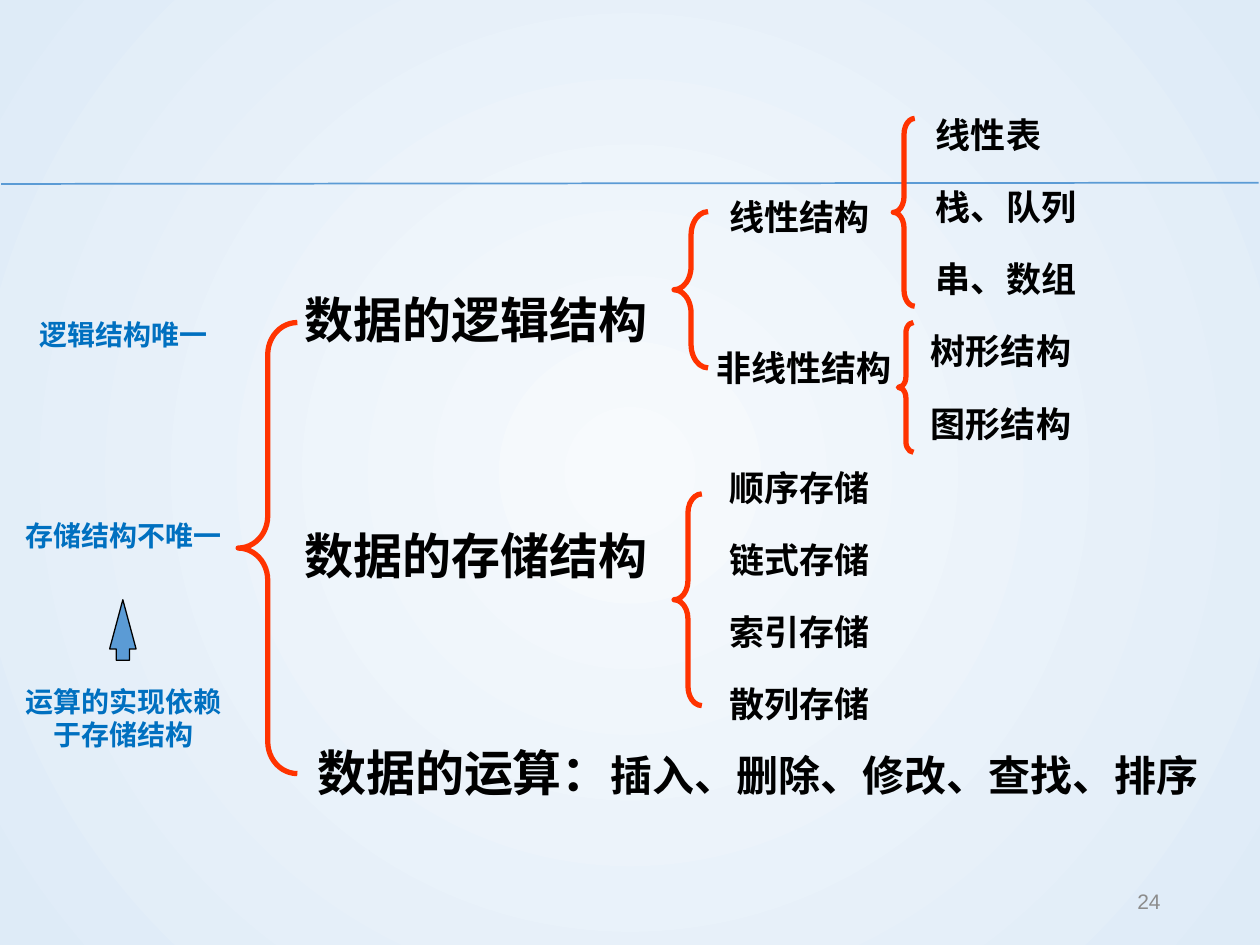
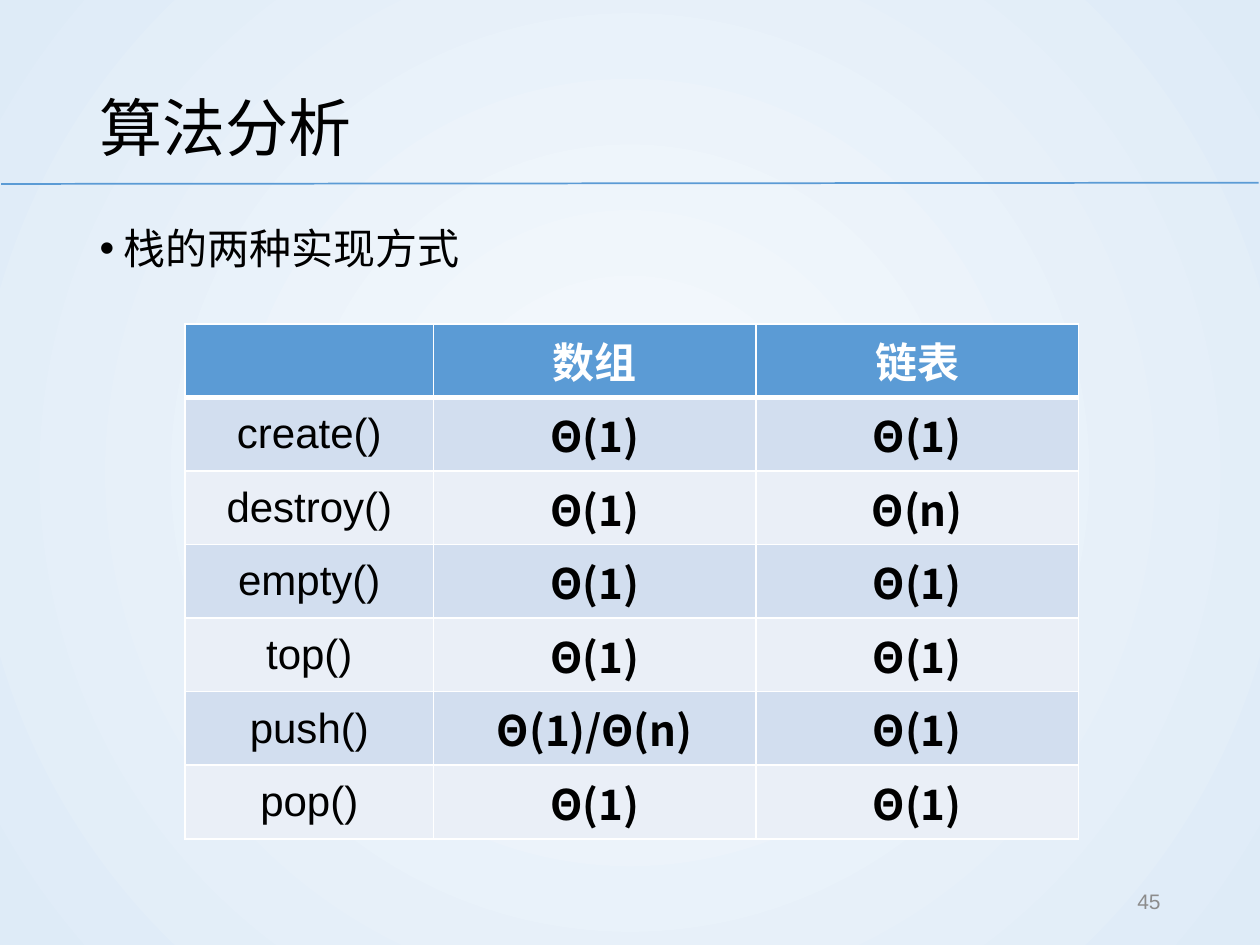
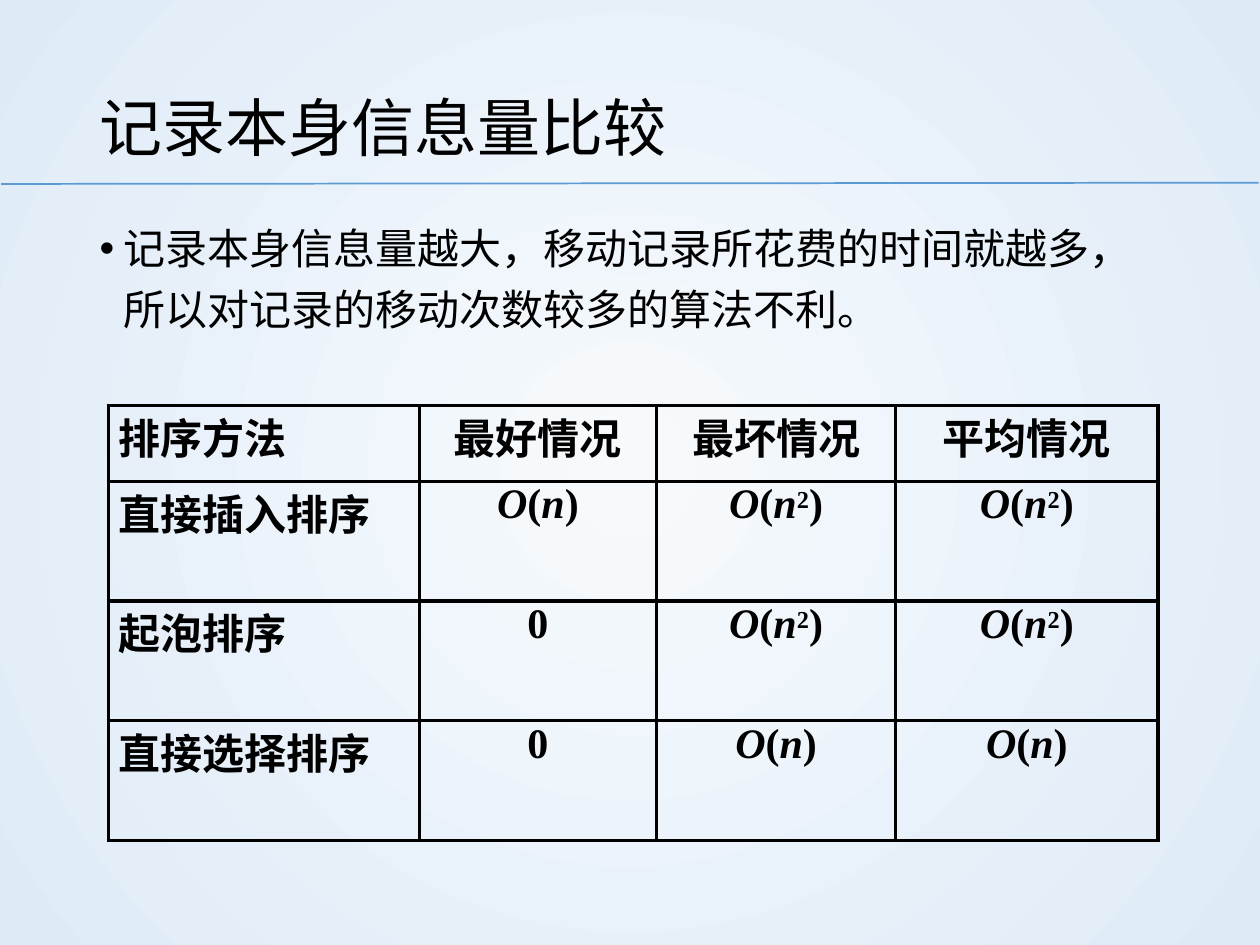
from collections import namedtuple

from lxml.etree import SubElement
from pptx import Presentation
from pptx.dml.color import RGBColor
from pptx.enum.shapes import MSO_CONNECTOR as CONN, MSO_SHAPE as SHAPE
from pptx.enum.text import MSO_ANCHOR as ANCHOR, PP_ALIGN as ALIGN
from pptx.oxml.ns import qn
from pptx.util import Inches, Pt

# Shared look
CJK, SANS, SERIF = "Noto Sans CJK SC", "Arial", "Times New Roman"
BLACK, WHITE, BLUE, NOTE, RED, GREY = (
    "000000", "FFFFFF", "5B9BD5", "0070C0", "FF3300", "8C8C8C")
BACK = ("F7FAFD", "DEEBF7")
BANDS = ("EAEFF7", "D2DEEF")
BLANK, CONTENT = 6, 1

# Grid of 100 columns by 75 rows
COLS, ROWS = 100, 75
Box = namedtuple("Box", "x y w h")
TITLE = Box(6.9, 4, 86.2, 10.8)
BODY = Box(6.9, 16.3, 86.2, 51.3)
NUMBER = Box(70.6, 69.5, 22.5, 4)


def grid(n):
    return Inches(n * 10 / COLS)


def lengths(box):
    return [grid(n) for n in box]


def inside(box, dx, dy, w, h):
    return Box(box.x + dx, box.y + dy, w, h)


def color(hex_code):
    return RGBColor.from_string(hex_code)


def write(p, text, size=24, fill=BLACK, font=CJK, bold=False, italic=False,
          raised=0, align=None):
    r = p.add_run()
    r.text = text
    f = r.font
    f.size, f.bold, f.italic, f.name = Pt(size), bold, italic, font
    f.color.rgb = color(fill)
    rPr = r._r.get_or_add_rPr()
    SubElement(rPr, qn("a:ea")).set("typeface", CJK)
    if raised:
        rPr.set("baseline", str(raised * 1000))
    if align is not None:
        p.alignment = align


def text_box(s, box, wrap=True, anchor=ANCHOR.MIDDLE):
    tf = s.shapes.add_textbox(*lengths(box)).text_frame
    tf.word_wrap, tf.vertical_anchor = wrap, anchor
    return tf


def preset(s, kind, box, adjust, line, width, fill=None):
    sp = s.shapes.add_shape(kind, *lengths(box))
    sp.shadow.inherit = False
    for i, value in enumerate(adjust):
        sp.adjustments[i] = value
    sp.line.color.rgb, sp.line.width = color(line), Pt(width)
    if fill:
        sp.fill.solid()
        sp.fill.fore_color.rgb = color(fill)
    else:
        sp.fill.background()


def set_background(master):
    fill = master.background.fill
    fill.gradient()
    for stop, code in zip(fill.gradient_stops, BACK):
        stop.color.rgb = color(code)
    # Radial from the centre
    lin = next(master.element.iter(qn("a:lin")))
    grad = lin.getparent()
    grad.remove(lin)
    path = SubElement(grad, qn("a:path"))
    path.set("path", "circle")
    rect = SubElement(path, qn("a:fillToRect"))
    for side in "ltrb":
        rect.set(side, "50000")


def set_rule(master, s):
    rule = s.shapes.add_connector(
        CONN.STRAIGHT, grid(0.1), grid(14.6), grid(99.9), grid(14.5))
    rule.line.color.rgb, rule.line.width = color(BLUE), Pt(1)
    SubElement(rule.element.spPr, qn("a:effectLst"))
    master.element.cSld.spTree.append(rule.element)


def page_number(s, number):
    write(text_box(s, NUMBER).paragraphs[0], str(number), size=12, fill=GREY,
          font=SANS, align=ALIGN.RIGHT)


# Tree slide
def label(s, x, y, parts):
    """Bold one-line label, as wide as its (text, size) parts need."""
    largest = max(size for _, size in parts)
    width = sum(len(text) * size for text, size in parts) / 7.2 + 2
    tf = text_box(s, Box(x, y, width, 4.4 if largest == 20 else 5.7), wrap=False)
    for text, size in parts:
        write(tf.paragraphs[0], text, size=size, bold=True)


def column(dx, dy, gap, *texts):
    return [(dx, dy + i * gap, [(text, 20)]) for i, text in enumerate(texts)]


def branch(s, box, curve, items):
    """Brace filling the box, with labels offset from its corner."""
    preset(s, SHAPE.LEFT_BRACE, box, (curve, 0.5), RED, 3)
    for dx, dy, parts in items:
        label(s, box.x + dx, box.y + dy, parts)


def side_notes(s, box):
    tf = text_box(s, box, anchor=ANCHOR.TOP)
    notes = [("逻辑结构唯一", 0), ("存储结构不唯一", 96),
             ("运算的实现依赖于存储结构", 76)]
    for i, (text, gap) in enumerate(notes):
        p = tf.add_paragraph() if i else tf.paragraphs[0]
        p.line_spacing, p.space_before = Pt(19), Pt(gap)
        write(p, text, size=16, fill=NOTE, bold=True, align=ALIGN.CENTER)
    preset(s, SHAPE.UP_ARROW, inside(box, 8, 22.9, 2.1, 4.8), (0.5, 1.86),
           BLACK, 0.75, fill=BLUE)


def tree_slide(s):
    branch(s, Box(18.9, 25.6, 4.7, 35.8), 0.54, [
        (4.3, -3.1, [("数据的逻辑结构", 28)]),
        (4.3, 15.6, [("数据的存储结构", 28)]),
        (5.3, 32.8, [("数据的运算：", 28), ("插入、删除、修改、查找、排序", 24)])])
    branch(s, Box(53.5, 16.8, 2.7, 12.4), 0.69,
           column(3.4, -1.8, 0, "线性结构") + column(2.4, 10.2, 0, "非线性结构"))
    branch(s, Box(70.9, 9.4, 1.7, 14.9), 0.74,
           column(2.4, -0.9, 5.7, "线性表", "栈、队列", "串、数组"))
    branch(s, Box(71.3, 25.6, 1.2, 10.3), 0.69,
           column(1.6, 0, 5.8, "树形结构", "图形结构"))
    branch(s, Box(53.5, 39.2, 2.2, 16.8), 0.69,
           column(3.4, -2.7, 5.7, "顺序存储", "链式存储", "索引存储", "散列存储"))
    side_notes(s, Box(0.7, 24.7, 18.2, 37.7))


# Slides with a title, a point and a table
def place(sp, box):
    sp.left, sp.top, sp.width, sp.height = lengths(box)
    return sp.text_frame


def heading(s, title, point, title_font=CJK):
    tf = place(s.shapes.title, TITLE)
    tf.vertical_anchor = ANCHOR.MIDDLE
    p = tf.paragraphs[0]
    p.line_spacing = 1.2
    write(p, title, size=36, font=title_font, align=ALIGN.LEFT)
    p = place(s.placeholders[1], BODY).paragraphs[0]
    p.line_spacing, p.space_before = Pt(35), Pt(7.5)
    pPr = p._p.get_or_add_pPr()
    pPr.set("marL", str(Inches(0.19)))
    pPr.set("indent", str(-Inches(0.19)))
    write(p, point)


def borders(cell, code, width, bottom=None):
    tcPr = cell._tc.get_or_add_tcPr()
    for side in "LRTB":
        points = bottom if side == "B" and bottom else width
        ln = SubElement(tcPr, qn("a:ln" + side))
        ln.set("w", str(Pt(points)))
        SubElement(SubElement(ln, qn("a:solidFill")),
                   qn("a:srgbClr")).set("val", code)


def new_table(s, box, widths, heights):
    table = s.shapes.add_table(len(heights), len(widths), *lengths(box)).table
    table.first_row = table.horz_banding = False
    for col, w in zip(table.columns, widths):
        col.width = grid(w)
    for row, h in zip(table.rows, heights):
        row.height = grid(h)
    return table


def cost_table(s, box, rows):
    table = new_table(s, box, (19.7, 25.6, 25.6), [box.h / len(rows)] * len(rows))
    for i, row in enumerate(rows):
        for j, text in enumerate(row):
            cell = table.cell(i, j)
            cell.vertical_anchor = ANCHOR.MIDDLE
            borders(cell, WHITE, 1, bottom=None if i else 3)
            cell.fill.solid()
            cell.fill.fore_color.rgb = color(BANDS[i % 2] if i else BLUE)
            if text:
                write(cell.text_frame.paragraphs[0], text,
                      fill=BLACK if i else WHITE,
                      font=CJK if i and j else SANS,
                      bold=not i or j > 0, align=ALIGN.CENTER)


def write_order(p, text):
    """Order of growth: italic letters, raised square."""
    for char in text.replace("²", "2"):
        write(p, char, font=SERIF, bold=True, italic=char.isalpha(),
              raised=24 if char == "2" else 0)


def sort_table(s, box, rows):
    table = new_table(s, box, (24.7, 18.8, 19, 20.8), (6, 9.5, 9.5, 9.5))
    for i, row in enumerate(rows):
        for j, text in enumerate(row):
            cell = table.cell(i, j)
            cell.margin_top = cell.margin_bottom = cell.margin_right = 0
            cell.margin_left = 0 if j else Inches(0.08)
            borders(cell, BLACK, 2.25)
            cell.fill.background()
            p = cell.text_frame.paragraphs[0]
            p.alignment = ALIGN.CENTER if j else ALIGN.LEFT
            if i and j:
                write_order(p, text)
            else:
                write(p, text, bold=True)


def main():
    prs = Presentation()
    prs.slide_width, prs.slide_height = grid(COLS), grid(ROWS)
    tree, stack, sort = [prs.slides.add_slide(prs.slide_layouts[i])
                         for i in (BLANK, CONTENT, CONTENT)]
    set_background(prs.slide_master)
    set_rule(prs.slide_master, tree)

    tree_slide(tree)
    page_number(tree, 24)

    heading(stack, "算法分析", "栈的两种实现方式")
    one, linear = "Θ(1)", "Θ(n)"
    cost_table(stack, Box(14.7, 25.7, 70.9, 35), [
        ("", "数组", "链表"),
        ("create()", one, one),
        ("destroy()", one, linear),
        ("empty()", one, one),
        ("top()", one, one),
        ("push()", one + "/" + linear, one),
        ("pop()", one, one)])
    page_number(stack, 45)

    heading(sort, "记录本身信息量比较",
            "记录本身信息量越大，移动记录所花费的时间就越多，"
            "所以对记录的移动次数较多的算法不利。", title_font=SANS)
    sort_table(sort, Box(8.6, 32.2, 83.3, 34.5), [
        ("排序方法", "最好情况", "最坏情况", "平均情况"),
        ("直接插入排序", "O(n)", "O(n²)", "O(n²)"),
        ("起泡排序", "0", "O(n²)", "O(n²)"),
        ("直接选择排序", "0", "O(n)", "O(n)")])

    prs.save("out.pptx")


if __name__ == "__main__":
    main()
